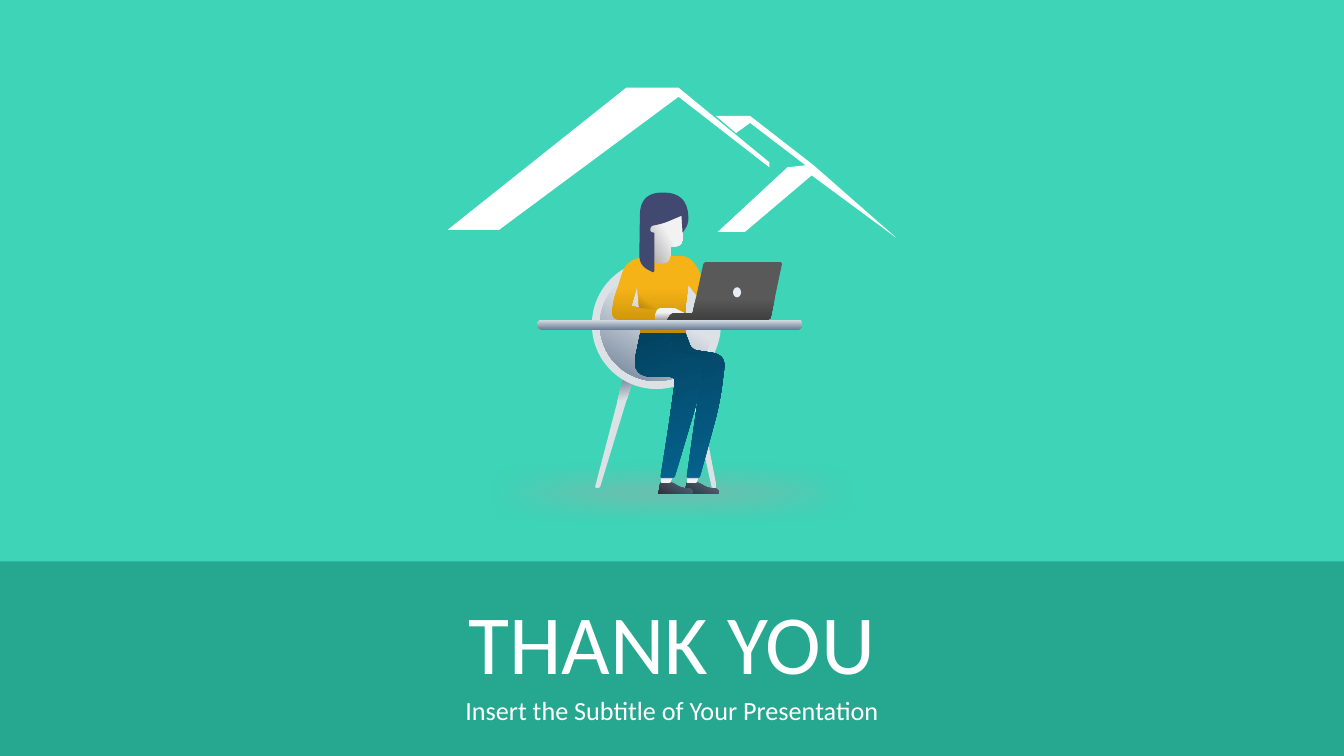
import math

import lxml.etree
import pptx
import pptx.dml.color
import pptx.enum.shapes
import pptx.enum.text
import pptx.oxml.ns
import pptx.util

PX = 9144  # EMU in one px, 100 px to the inch
ARC_STEPS = 8
STRIDE = 26  # distance between the two feet
COLORS = {
    "page": "3ED4B7", "band": "25A88F", "white": "FFFFFF", "floor": "A6A6A6",
    "chair": "DCE1E6", "steel": "6A7E96", "badge": "E8ECF4", "hair": "414971",
    "skin": "F2F2F2", "wool": "F5B317", "dark wool": "C18A08", "lid": "595959",
    "dark lid": "404040", "toe": "57687C", "leather": "2C343E", "denim": "05638F",
    "dark denim": "034260", "black": "000000",
}
# Gradients: angle, first colour, where it stops being plain, last colour
GRADIENTS = {
    "chair leg": (260, "chair", 78, "steel"),
    "seat": (120, "chair", 41, "steel"),
    "desk": (90, "chair", 0, "steel"),
    "face": (150, "skin", 41, "floor"),
    "hand": (90, "skin", 41, "floor"),
    "ankle": (270, "skin", 50, "floor"),
    "shirt": (90, "wool", 41, "dark wool"),
    "laptop": (90, "lid", 63, "dark lid"),
    "shoe": (120, "toe", 0, "leather"),
    "trousers": (250, "denim", 0, "dark denim"),
    "shade": (130, "black", 51, "black"),
}
OPACITY = {"shade": (0, 20)}


def rgb(name):
    return pptx.dml.color.RGBColor.from_string(COLORS[name])


def paint(shape, name):
    """Fill with a named gradient or colour, without line or shadow."""
    shape.shadow.inherit = False
    shape.line.fill.background()
    if name not in GRADIENTS:
        shape.fill.solid()
        shape.fill.fore_color.rgb = rgb(name)
        return
    angle, first, plain_until, last = GRADIENTS[name]
    shape.fill.gradient()
    shape.fill.gradient_angle = 360 - angle
    stops = shape._element.spPr.find(".//" + pptx.oxml.ns.qn("a:gsLst"))
    for stop in list(stops):
        stops.remove(stop)
    start, end = OPACITY.get(name, (100, 100))
    for position, color, opacity in ((0, first, start), (plain_until, first, start),
                                     (100, last, end)):
        stop = lxml.etree.SubElement(stops, pptx.oxml.ns.qn("a:gs"), pos=str(position * 1000))
        tint = lxml.etree.SubElement(stop, pptx.oxml.ns.qn("a:srgbClr"), val=COLORS[color])
        lxml.etree.SubElement(tint, pptx.oxml.ns.qn("a:alpha"), val=str(opacity * 1000))


def toward(start, goal, distance):
    share = distance / math.dist(start, goal)
    return tuple(a + (b - a) * share for a, b in zip(start, goal))


def round_corners(corners):
    """Turn (x, y, radius) corners into points; a missing radius keeps it sharp."""
    points = []
    for index, (x, y, *radius) in enumerate(corners):
        corner = (x, y)
        if not any(radius):
            points.append(corner)
            continue
        entry = toward(corner, corners[index - 1][:2], radius[0])
        leave = toward(corner, corners[(index + 1) % len(corners)][:2], radius[0])
        for step in range(ARC_STEPS + 1):
            t = step / ARC_STEPS
            points.append(tuple((1 - t) ** 2 * a + 2 * t * (1 - t) * b + t * t * c
                                for a, b, c in zip(entry, corner, leave)))
    return points


def add_outline(shapes, origin, fill, *contours):
    """Draw rounded polygons as one shape; later contours are holes."""
    builder = None
    for corners in contours:
        points = [((x + origin[0]) * PX, (y + origin[1]) * PX)
                  for x, y in round_corners(corners)]
        if builder is None:
            builder = shapes.build_freeform(*points[0], scale=1.0)
        else:
            builder.move_to(*points[0])
        builder.add_line_segments(points[1:], close=True)
    paint(builder.convert_to_shape(), fill)


def add_preset(shapes, kind, box, fill):
    preset = getattr(pptx.enum.shapes.MSO_SHAPE, kind)
    shape = shapes.add_shape(preset, *(length * PX for length in box))
    paint(shape, fill)
    return shape


def add_floor_shadow(page, box):
    floor = add_preset(page.shapes, "OVAL", box, "floor")
    effects = floor._element.spPr.find(pptx.oxml.ns.qn("a:effectLst"))
    lxml.etree.SubElement(effects, pptx.oxml.ns.qn("a:softEdge"), rad=str(pptx.util.Pt(19)))


def add_chair(page, left, top):
    shapes = page.shapes.add_group_shape().shapes
    right_leg = [(95, 117, 2), (103, 117, 2), (124, 226, 2), (119, 226, 2)]
    left_leg = [(31, 119, 2), (40, 121, 2), (8, 226, 2), (3, 226, 2)]
    for leg in (right_leg, left_leg):
        add_outline(shapes, (left, top), "chair leg", leg)
    for inset, fill in ((0, "chair"), (8, "seat")):
        size = 128 - 2 * inset
        add_preset(shapes, "OVAL", (left + inset, top + inset, size, size), fill)


def add_worker(page, left, top):
    shapes = page.shapes.add_group_shape().shapes
    origin = (left, top)
    face = [(77, 23, 1), (78, 55, 10), (65, 55, 1), (65, 71, 7), (49, 72, 6), (48, 41),
            (43, 40, 4), (46, 33, 3)]
    neckline = [(47, 64), (49, 72, 6), (64, 71, 6), (65, 64)]
    right_arm = [(84, 63, 12), (96, 83, 2), (91, 103), (83, 93)]
    waist = [(80, 112, 8), (80, 141), (35, 141), (35, 127)]
    left_arm = [(7, 127, 8), (8, 110, 10), (21, 68, 14)]
    elbow_gap = [(26, 114), (32, 94), (34, 115)]
    hand = [(50, 127), (51, 116, 5), (68, 115, 4), (80, 121, 2), (67, 122, 3), (63, 127)]
    shoe = [(55, 289, 1), (67, 289, 1), (76, 294, 4), (87, 295, 4), (87, 300, 2), (53, 300)]
    ankle = [(56, 283), (67, 283), (65, 289, 1), (55, 289, 1)]
    far_leg = [(50, 141), (80, 141), (86, 157, 6), (120, 162, 14), (114, 210, 20),
               (94, 284, 2), (81, 284, 2), (93, 200), (60, 155)]
    near_leg = [(35, 141), (65, 141), (66, 158, 3), (98, 168, 14), (92, 206, 10),
                (69, 284, 2), (55, 284, 2), (63, 234, 10), (70, 184, 6), (26, 184, 22)]
    crown = [(35, 1, 22), (82, 1, 24), (83, 32, 6), (77, 41, 1)]
    fringe = [(76, 24, 1), (55, 33, 10), (45, 34, 4), (45, 40, 2), (49, 41)]
    strand = [(49, 81, 3), (34, 73, 10)]
    sleeve_shade = [(34, 115), (33, 101), (53, 117)]

    add_outline(shapes, origin, "face", face)
    add_outline(shapes, origin, "shirt", neckline + right_arm + waist + left_arm, elbow_gap)
    for fill, part in (("shoe", shoe), ("ankle", ankle)):
        for step in (STRIDE, 0):
            add_outline(shapes, (left + step, top), fill, part)
    for fill, part in (("hand", hand), ("trousers", far_leg), ("trousers", near_leg),
                       ("hair", crown + fringe + strand), ("shade", sleeve_shade)):
        add_outline(shapes, origin, fill, part)


def add_desk(page, left, top):
    """Laptop standing on a table top."""
    shapes = page.shapes.add_group_shape().shapes
    lid = [(165, 0, 3), (243, 0, 3), (231, 57, 3)]
    keyboard = [(129, 57), (133, 51, 3), (154, 51)]
    add_outline(shapes, (left, top), "laptop", lid + keyboard)
    add_preset(shapes, "OVAL", (left + 194, top + 25, 8, 10), "badge")
    board = add_preset(shapes, "ROUNDED_RECTANGLE", (left, top + 57, 263, 10), "desk")
    board.adjustments[0] = 0.5


def add_roofs(page, left, top):
    shapes = page.shapes.add_group_shape().shapes
    large_roof = [(0, 141), (177, 0), (229, 0), (319, 74), (319, 79), (229, 9), (51, 141)]
    gable = [(445, 149), (361, 87), (295, 143), (268, 143), (337, 79), (355, 77)]
    dormer = [(300, 35), (286, 45), (266, 28), (300, 28), (363, 77)]
    for roof in (large_roof, gable + dormer):
        add_outline(shapes, (left, top), "white", roof)


def add_caption(page, box, text, size):
    frame = page.shapes.add_textbox(*(length * PX for length in box)).text_frame
    layout = {"word_wrap": True, "auto_size": pptx.enum.text.MSO_AUTO_SIZE.SHAPE_TO_FIT_TEXT,
              "vertical_anchor": pptx.enum.text.MSO_ANCHOR.MIDDLE}
    for key, value in layout.items():
        setattr(frame, key, value)
    para = frame.paragraphs[0]
    para.alignment = pptx.enum.text.PP_ALIGN.CENTER
    span = para.add_run()
    span.text = text
    for key, value in {"name": "Calibri", "size": pptx.util.Pt(size)}.items():
        setattr(span.font, key, value)
    span.font.color.rgb = rgb("white")


def add_closing_page(deck, width, height):
    page = deck.slides.add_slide(deck.slide_layouts[6])
    page.background.fill.solid()
    page.background.fill.fore_color.rgb = rgb("page")
    band_top = height - 193
    add_preset(page.shapes, "RECTANGLE", (0, band_top, width, 193), "band")
    add_floor_shadow(page, (342, 456, 649, 65))
    add_chair(page, 587, 258)
    add_worker(page, 600, 190)
    add_desk(page, 533, 260)
    add_caption(page, (0, band_top + 23, width, 111), "THANK YOU", 60)
    add_caption(page, (0, band_top + 126, width, 42),
                "Insert the Subtitle of Your Presentation", 18.7)
    add_roofs(page, 444, 87)


def main():
    width, height = 1333, 750
    deck = pptx.Presentation()
    deck.slide_width, deck.slide_height = width * PX, height * PX
    add_closing_page(deck, width, height)
    deck.save("out.pptx")


if __name__ == "__main__":
    main()
